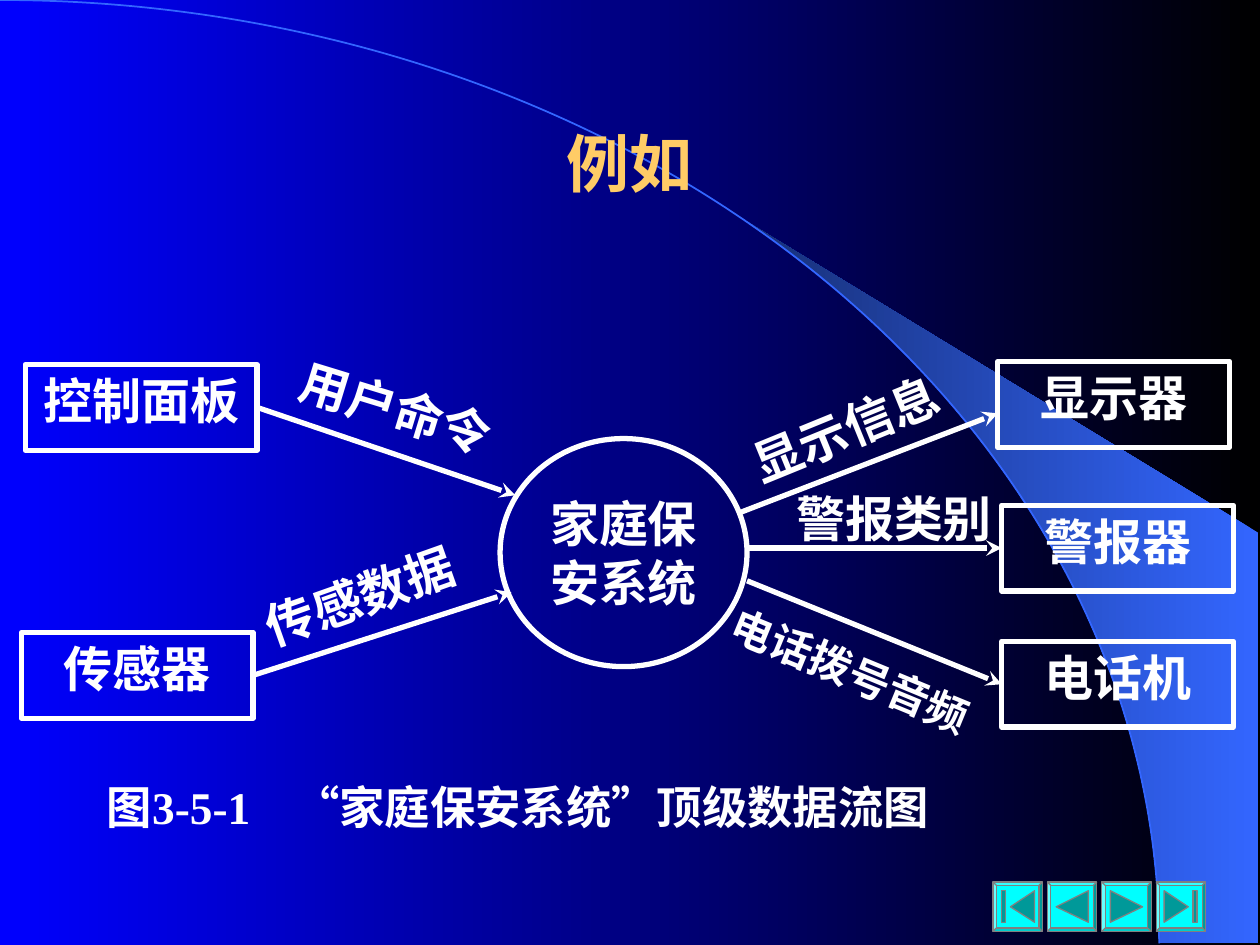
"""Build the top-level data flow diagram slide of a home security system."""
import math

from lxml import etree
from pptx import Presentation
from pptx import util as u
from pptx.dml.color import RGBColor
from pptx.enum import shapes, text
from pptx.oxml.ns import qn

Pt = u.Pt
WHITE = RGBColor(0xFF, 0xFF, 0xFF)
BLACK = RGBColor(0x00, 0x00, 0x00)
BLUE = RGBColor(0x00, 0x00, 0xFF)
SKY = RGBColor(0x33, 0x66, 0xFF)
NAVY = RGBColor(0x17, 0x2F, 0x75)
GOLD = RGBColor(0xFF, 0xCC, 0x66)
CYAN = RGBColor(0x00, 0xFF, 0xFF)
TEAL = RGBColor(0x00, 0x99, 0x99)
GRAY = RGBColor(0x80, 0x80, 0x80)
FONT = "Times New Roman"
LEFT, CENTER = text.PP_ALIGN.LEFT, text.PP_ALIGN.CENTER
MIDDLE = text.MSO_ANCHOR.MIDDLE

TITLE = "例如"
CAPTION = ("图3-5-1", "\t", "“家庭保安系统”顶级数据流图")
CAPTION_TAB = 107
PROCESS = (("家庭保", "安系统"), (285.8, 250.6, 141.1, 130.3))
ENTITY_SIZE = (132.5, 49)
ENTITIES = {
    "控制面板": (14.4, 208.3),
    "传感器": (12.2, 361.4),
    "显示器": (570.2, 206.6),
    "警报器": (572.4, 288.7),
    "电话机": (572.4, 366.5),
}
LABELS = [
    ("警报类别", (455, 279.4, 115.2, 33.1), 0, 28, LEFT),
    ("显示信息", (420.5, 228.2, 126, 34.6), 337.8, 28, CENTER),
    ("电话拨号音频", (413.3, 370, 151.2, 31.7), 22.4, 24, LEFT),
    ("传感数据", (144, 323.3, 126, 42.5), 340.5, 28, CENTER),
    ("用户命令", (162, 216, 126, 42.5), 17, 28, CENTER),
]
FLOWS = [
    ((146.9, 232.8), (294.5, 283), "控制面板", None),
    ((144.7, 385.9), (292.3, 338.4), "传感器", None),
    ((422.6, 293), (570.2, 236.2), None, None),
    ((426.9, 331.9), (572.4, 391), None, "电话机"),
    ((426.9, 313.2), (572.4, 313.2), None, "警报器"),
]

ARC_RADII = (662.4, 539)
CRESCENT_LEFT, CRESCENT_RIGHT, CRESCENT_SHOULDER = 424.1, 719.3, 304.6
BUTTON_LEFT, BUTTON_TOP, BUTTON_SIZE, BUTTON_PITCH = 567.4, 504, 28.3, 31.1
STEP_ICON = [[(5, 14.2), (23.4, 5), (23.4, 23)]]
JUMP_ICON = [
    [(10, 14.2), (23.8, 5), (23.8, 23)],
    [(5, 5), (7.2, 5), (7.2, 23), (5, 23)],
]
BUTTONS = [(JUMP_ICON, False), (STEP_ICON, False), (STEP_ICON, True), (JUMP_ICON, True)]


def points(values):
    return [Pt(value) for value in values]


def paint_gradient(fill, first, last):
    fill.gradient()
    fill.gradient_angle = 180
    for stop, color, position in zip(fill.gradient_stops, (first, last), (0, 1)):
        stop.color.rgb = color
        stop.position = position


def style(shape, fill=None, line=None, width=3):
    shape.shadow.inherit = False
    if fill is None:
        shape.fill.background()
    else:
        shape.fill.solid()
        shape.fill.fore_color.rgb = fill
    if line is None:
        shape.line.fill.background()
    else:
        shape.line.color.rgb = line
        shape.line.width = Pt(width)


def write(shape, lines, size, color=WHITE, align=CENTER, anchor=text.MSO_ANCHOR.TOP, inset=(0, 0)):
    frame = shape.text_frame
    frame.word_wrap = True
    frame.vertical_anchor = anchor
    frame.margin_left = frame.margin_right = Pt(inset[0])
    frame.margin_top = frame.margin_bottom = Pt(inset[1])
    for index, runs in enumerate(lines):
        paragraph = frame.add_paragraph() if index else frame.paragraphs[0]
        paragraph.alignment = align
        for content in runs:
            run = paragraph.add_run()
            run.text = content
            run.font.name = FONT
            run.font.size = Pt(size)
            run.font.bold = True
            run.font.color.rgb = color
    return frame.paragraphs[0]


def add_outline(slide, vertices):
    corners = [tuple(points(vertex)) for vertex in vertices]
    builder = slide.shapes.build_freeform(*corners[0], scale=1.0)
    builder.add_line_segments(corners[1:], close=True)
    return builder.convert_to_shape()


def add_backdrop(slide):
    paint_gradient(slide.background.fill, BLACK, BLUE)
    radius_x, radius_y = ARC_RADII
    start = math.acos(CRESCENT_LEFT / radius_x)
    steps = 24
    angles = [start * (1 - step / steps) for step in range(steps + 1)]
    edge = [(radius_x * math.cos(a), radius_y * (1 - math.sin(a))) for a in angles]
    right = [(CRESCENT_RIGHT, radius_y), (CRESCENT_RIGHT, CRESCENT_SHOULDER)]
    crescent = add_outline(slide, edge + right)
    style(crescent)
    paint_gradient(crescent.fill, SKY, NAVY)
    arc = slide.shapes.add_shape(
        shapes.MSO_SHAPE.ARC, *points((-radius_x, 0, 2 * radius_x, 2 * radius_y)))
    style(arc, line=SKY, width=1)


def add_headings(slide):
    title = slide.shapes.add_textbox(*points((54, 48, 612, 90)))
    write(title, [[TITLE]], 36, GOLD, anchor=MIDDLE, inset=(7.2, 3.6))
    caption = slide.shapes.add_textbox(*points((54, 450, 612, 30)))
    paragraph = write(caption, [CAPTION], 25.9, align=LEFT, inset=(7.2, 3.6))
    paragraph.line_spacing = 0.7
    paragraph.space_before = Pt(7)
    properties = paragraph._p.get_or_add_pPr()
    tabs = etree.SubElement(properties, qn("a:tabLst"))
    etree.SubElement(tabs, qn("a:tab"), pos=str(Pt(CAPTION_TAB)), algn="l")


def add_buttons(slide):
    for index, (icon, mirrored) in enumerate(BUTTONS):
        left = BUTTON_LEFT + index * BUTTON_PITCH
        button = slide.shapes.add_shape(
            shapes.MSO_SHAPE.BEVEL, *points((left, BUTTON_TOP, BUTTON_SIZE, BUTTON_SIZE)))
        button.adjustments[0] = 0.07
        style(button, CYAN, GRAY, 0.75)
        for part in icon:
            vertices = [(left + (BUTTON_SIZE - x if mirrored else x), BUTTON_TOP + y)
                        for x, y in part]
            style(add_outline(slide, vertices), TEAL, GRAY, 0.75)


def add_diagram(slide):
    for content, box, rotation, size, align in LABELS:
        label = slide.shapes.add_textbox(*points(box))
        label.rotation = rotation
        write(label, [[content]], size, align=align)
    lines, box = PROCESS
    process = slide.shapes.add_shape(shapes.MSO_SHAPE.OVAL, *points(box))
    style(process, line=WHITE)
    write(process, [[line] for line in lines], 28, anchor=MIDDLE)
    entities = {}
    for name, corner in ENTITIES.items():
        entity = slide.shapes.add_shape(shapes.MSO_SHAPE.RECTANGLE, *points(corner + ENTITY_SIZE))
        style(entity, line=WHITE)
        write(entity, [[name]], 28, inset=(7.2, 3.6))
        entities[name] = entity
    for start, end, source, target in FLOWS:
        flow = slide.shapes.add_connector(shapes.MSO_CONNECTOR.STRAIGHT, *points(start + end))
        if source:
            flow.begin_connect(entities[source], 3)
        if target:
            flow.end_connect(entities[target], 1)
        flow.line.color.rgb = WHITE
        flow.line.width = Pt(3)
        etree.SubElement(flow.line._get_or_add_ln(), qn("a:tailEnd"), type="stealth")
        etree.SubElement(flow._element.spPr, qn("a:effectLst"))


def main():
    presentation = Presentation()
    presentation.slide_width, presentation.slide_height = Pt(720), Pt(540)
    slide = presentation.slides.add_slide(presentation.slide_layouts[6])
    add_backdrop(slide)
    add_headings(slide)
    add_buttons(slide)
    add_diagram(slide)
    presentation.save("out.pptx")


if __name__ == "__main__":
    main()
